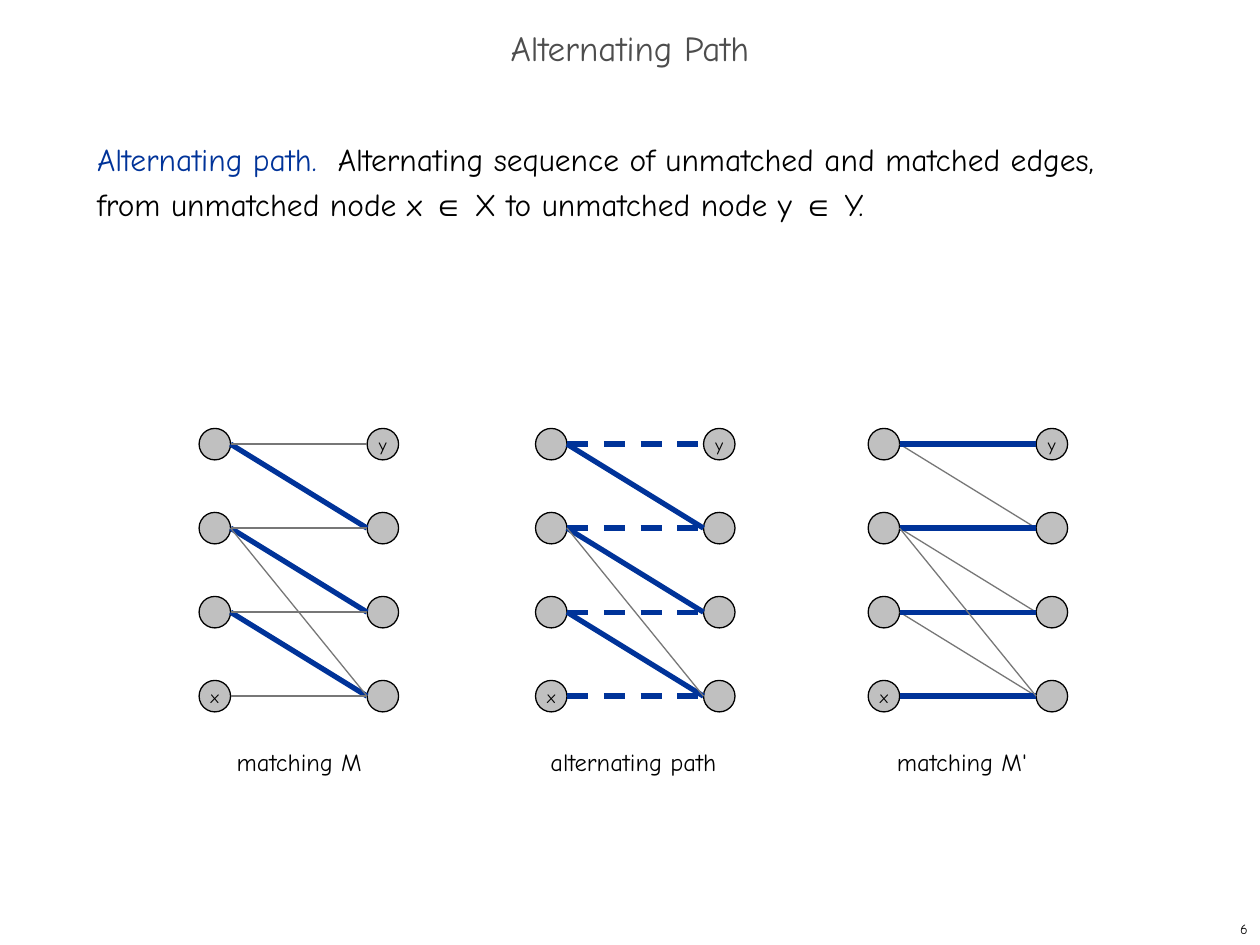
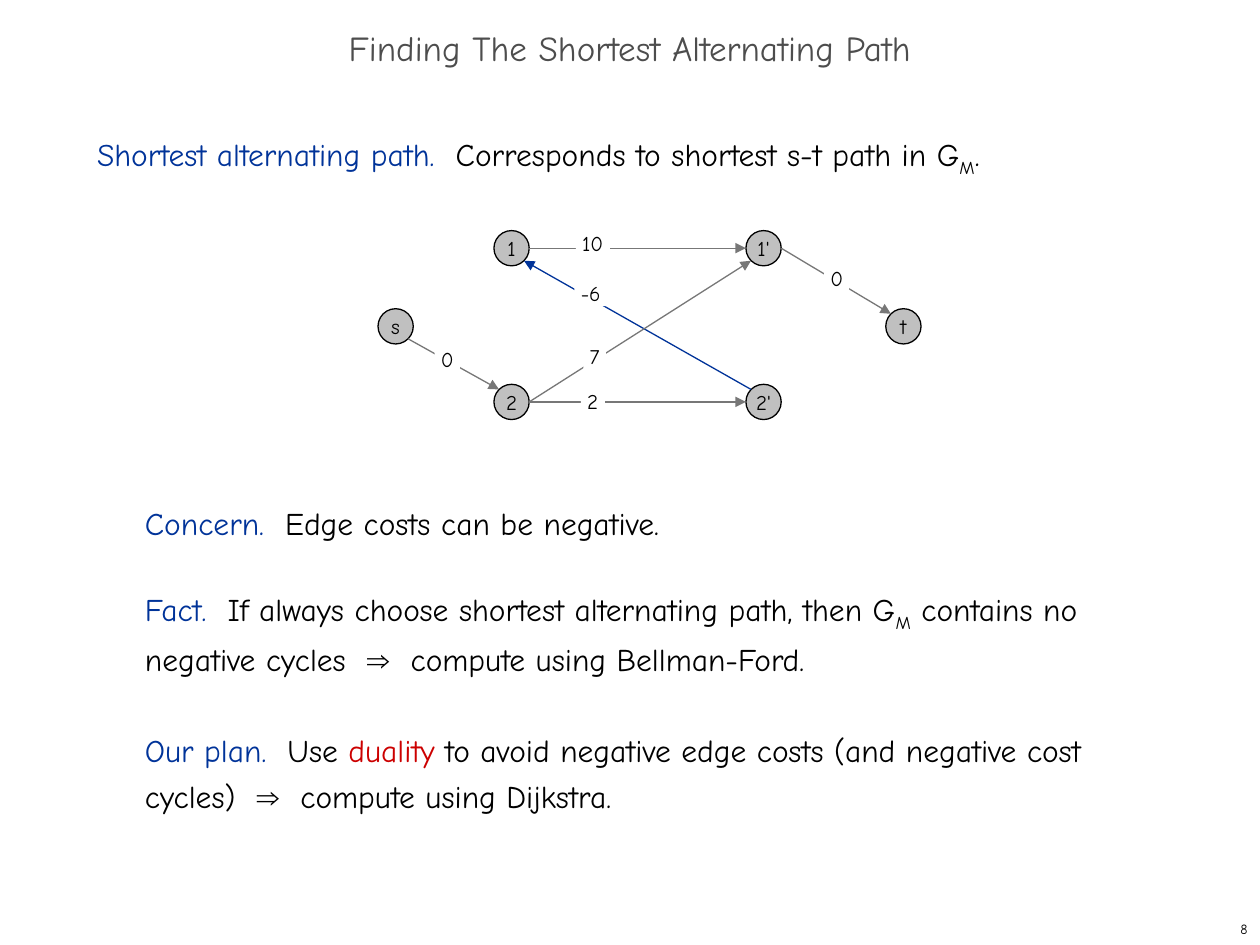
"""Build two slides on alternating paths in bipartite matching."""
import pptx
import pptx.dml.color
import pptx.enum.dml
import pptx.enum.shapes
import pptx.enum.text
import pptx.oxml
import pptx.oxml.ns
import pptx.util

Inches, Pt = pptx.util.Inches, pptx.util.Pt
RGBColor = pptx.dml.color.RGBColor
ALIGN = pptx.enum.text.PP_ALIGN
ANCHOR = pptx.enum.text.MSO_ANCHOR
AUTO_SIZE = pptx.enum.text.MSO_AUTO_SIZE
SHAPE = pptx.enum.shapes.MSO_SHAPE

BLACK = RGBColor(0x00, 0x00, 0x00)
WHITE = RGBColor(0xFF, 0xFF, 0xFF)
BLUE = RGBColor(0x00, 0x33, 0x99)
RED = RGBColor(0xCC, 0x00, 0x00)
TITLE_GRAY = RGBColor(0x4D, 0x4D, 0x4D)
EDGE_GRAY = RGBColor(0x77, 0x77, 0x77)
NODE_GRAY = RGBColor(0xC0, 0xC0, 0xC0)
TEXT_FONT, SYMBOL_FONT = "Comic Neue", "Arial"
LINE_PITCH = 26

TERM = {"color": BLUE}
ALERT = {"color": RED}
SYMBOL = {"font": SYMBOL_FONT}
SUBSCRIPT = {"baseline": -25000}
PLAIN = {}

# Each paragraph: indent in inches, blank lines before, runs
PATH_TEXT = [
    (0, 0, [("Alternating path.  ", TERM),
            ("Alternating sequence of unmatched and matched edges, from unmatched node x ", PLAIN),
            ("∈", SYMBOL), (" X to unmatched node y ", PLAIN),
            ("∈", SYMBOL), (" Y.", PLAIN)]),
]
SHORTEST_TEXT = [
    (0, 0, [("Shortest alternating path.  ", TERM),
            ("Corresponds to shortest s-t path in G", PLAIN),
            ("M", SUBSCRIPT), (".", PLAIN)]),
    (0.38, 7, [("Concern.  ", TERM), ("Edge costs can be negative.", PLAIN)]),
    (0.38, 1, [("Fact.  ", TERM),
               ("If always choose shortest alternating path, then G", PLAIN),
               ("M", SUBSCRIPT), (" contains no negative cycles  ", PLAIN),
               ("⇒", SYMBOL), ("  compute using Bellman-Ford.", PLAIN)]),
    (0.38, 1, [("Our plan.  ", TERM), ("Use ", PLAIN), ("duality", ALERT),
               (" to avoid negative edge costs (and negative cost cycles)  ", PLAIN),
               ("⇒", SYMBOL), ("  compute using Dijkstra.", PLAIN)]),
]

THIN = (EDGE_GRAY, 0.75, False)
THICK = (BLUE, 3, False)
DASHED = (BLUE, 3, True)
SLANTED_EDGES = [(0, 1), (1, 2), (2, 3)]
LEVEL_EDGES = [(0, 0), (3, 3), (2, 2), (1, 1)]
CROSS_EDGE = (1, 3)
# Caption, graph left, caption left, caption width, slanted style, level style
MATCHINGS = [
    ("matching M", 1.58, 1.78, 1.2, THICK, THIN),
    ("alternating path", 4.25, 4.27, 1.53, THICK, DASHED),
    ("matching M'", 6.89, 7.02, 1.24, THIN, THICK),
]
LEFT_LABELS = ["", "", "", "x"]
RIGHT_LABELS = ["y", "", "", ""]
MATCHING_TOP, ROW_PITCH, COLUMN_PITCH, MATCHING_NODE = 3.4, 2 / 3, 4 / 3, 0.25

COST_NODE = 0.28
COST_NODES = {
    "1": (3.92, 1.83), "2": (3.92, 3.05), "1'": (5.92, 1.83),
    "2'": (5.92, 3.05), "s": (3, 2.45), "t": (7.03, 2.45),
}
RIGHT, LEFT = (1, 0), (-1, 0)
UPPER_LEFT, LOWER_LEFT, LOWER_RIGHT = (-0.71, -0.71), (-0.71, 0.71), (0.71, 0.71)
# Start, side, end, side, colour, cost, cost left, cost top, cost width
COST_EDGES = [
    ("2'", UPPER_LEFT, "1", LOWER_RIGHT, BLUE, "-6", 4.56, 2.23, 0.26),
    ("1", RIGHT, "1'", LEFT, EDGE_GRAY, "10", 4.57, 1.83, 0.27),
    ("2", RIGHT, "2'", LEFT, EDGE_GRAY, "2", 4.61, 3.08, 0.19),
    ("2", RIGHT, "1'", LOWER_LEFT, EDGE_GRAY, "7", 4.63, 2.73, 0.18),
    ("s", LOWER_RIGHT, "2", UPPER_LEFT, EDGE_GRAY, "0", 3.45, 2.75, 0.2),
    ("1'", RIGHT, "t", UPPER_LEFT, EDGE_GRAY, "0", 6.54, 2.11, 0.2),
]


def place(shape, left, top, width, height):
    shape.left, shape.top = Inches(left), Inches(top)
    shape.width, shape.height = Inches(width), Inches(height)


def style_paragraph(paragraph, size, color=BLACK, align=ALIGN.LEFT):
    paragraph.alignment = align
    paragraph.font.name = TEXT_FONT
    paragraph.font.size = Pt(size)
    paragraph.font.color.rgb = color


def add_label(slide, text, box, size, align=ALIGN.LEFT, anchor=ANCHOR.TOP, wrap=False):
    label = slide.shapes.add_textbox(*map(Inches, box))
    frame = label.text_frame
    frame.word_wrap = wrap
    frame.vertical_anchor = anchor
    frame.text = text
    style_paragraph(frame.paragraphs[0], size, align=align)
    return label


def fill_body(body, paragraphs):
    frame = body.text_frame
    frame.auto_size = AUTO_SIZE.NONE
    for index, (indent, blank_lines, runs) in enumerate(paragraphs):
        paragraph = frame.add_paragraph() if index else frame.paragraphs[0]
        style_paragraph(paragraph, 18)
        paragraph.line_spacing = Pt(LINE_PITCH)
        paragraph.space_before = Pt(LINE_PITCH * blank_lines)
        properties = paragraph._p.get_or_add_pPr()
        properties.set("marL", str(Inches(indent)))
        properties.set("indent", "0")
        bullet = pptx.oxml.parse_xml(f"<a:buNone {pptx.oxml.ns.nsdecls('a')}/>")
        properties.find(pptx.oxml.ns.qn("a:defRPr")).addprevious(bullet)
        for text, style in runs:
            run = paragraph.add_run()
            run.text = text
            if "color" in style:
                run.font.color.rgb = style["color"]
            if "font" in style:
                run.font.name = style["font"]
            if "baseline" in style:
                run._r.get_or_add_rPr().set("baseline", str(style["baseline"]))


def start_slide(deck, title, paragraphs, number):
    slide = deck.slides.add_slide(deck.slide_layouts[1])
    heading, body = slide.placeholders
    place(heading, 0, 0.17, 10, 0.5)
    heading.text_frame.text = title
    heading.text_frame.auto_size = AUTO_SIZE.NONE
    heading.text_frame.vertical_anchor = ANCHOR.MIDDLE
    style_paragraph(heading.text_frame.paragraphs[0], 20, TITLE_GRAY, ALIGN.CENTER)
    heading.text_frame.paragraphs[0].line_spacing = 0.7
    place(body, 0.67, 1, 8.58, 5.92)
    fill_body(body, paragraphs)
    add_label(slide, str(number), (7.92, 7.25, 2.08, 0.25), 8,
              ALIGN.RIGHT, ANCHOR.MIDDLE, wrap=True)
    return slide


def add_node(slide, text, left, top, diameter, size):
    node = slide.shapes.add_shape(
        SHAPE.OVAL, *map(Inches, (left, top, diameter, diameter)))
    node.shadow.inherit = False
    node.fill.solid()
    node.fill.fore_color.rgb = NODE_GRAY
    node.line.color.rgb = BLACK
    node.line.width = Pt(0.75)
    if text:
        node.text_frame.text = text
        node.text_frame.word_wrap = False
        node.text_frame.vertical_anchor = ANCHOR.MIDDLE
        style_paragraph(node.text_frame.paragraphs[0], size, align=ALIGN.CENTER)


def add_edge(slide, start, end, style, arrow=False):
    color, width, dashed = style
    edge = slide.shapes.add_connector(
        pptx.enum.shapes.MSO_CONNECTOR.STRAIGHT, *map(Inches, (*start, *end)))
    edge.line.color.rgb = color
    edge.line.width = Pt(width)
    if dashed:
        edge.line.dash_style = pptx.enum.dml.MSO_LINE.DASH
    namespace = pptx.oxml.ns.nsdecls("a")
    properties = edge._element.spPr
    if arrow:
        properties.find(pptx.oxml.ns.qn("a:ln")).append(
            pptx.oxml.parse_xml(f'<a:tailEnd {namespace} type="triangle"/>'))
    properties.append(pptx.oxml.parse_xml(f"<a:effectLst {namespace}/>"))


def add_matching(slide, caption, left, caption_left, caption_width, slanted, level):
    rows = [MATCHING_TOP + ROW_PITCH * row for row in range(len(LEFT_LABELS))]
    for column, labels in enumerate((LEFT_LABELS, RIGHT_LABELS)):
        for top, label in zip(rows, labels):
            add_node(slide, label, left + COLUMN_PITCH * column, top, MATCHING_NODE, 10)
    edges = ([(edge, slanted) for edge in SLANTED_EDGES]
             + [(edge, level) for edge in LEVEL_EDGES] + [(CROSS_EDGE, THIN)])
    for (start, end), style in edges:
        add_edge(slide,
                 (left + MATCHING_NODE, rows[start] + MATCHING_NODE / 2),
                 (left + COLUMN_PITCH, rows[end] + MATCHING_NODE / 2), style)
    add_label(slide, caption, (caption_left, 5.88, caption_width, 0.33), 14)


def node_side(name, side):
    radius = COST_NODE / 2
    return tuple(corner + radius * (1 + shift)
                 for corner, shift in zip(COST_NODES[name], side))


def add_cost_graph(slide):
    for name, (left, top) in COST_NODES.items():
        add_node(slide, name, left, top, COST_NODE, 12)
    for start, start_side, end, end_side, color, *_ in COST_EDGES:
        add_edge(slide, node_side(start, start_side), node_side(end, end_side),
                 (color, 0.75, False), arrow=True)
    for *_, cost, left, top, width in COST_EDGES:
        label = add_label(slide, cost, (left, top, width, 0.2), 12)
        label.fill.solid()
        label.fill.fore_color.rgb = WHITE
        frame = label.text_frame
        frame.margin_left = frame.margin_right = Inches(0.05)
        frame.margin_top = frame.margin_bottom = 0


def main():
    deck = pptx.Presentation()
    deck.slide_width, deck.slide_height = Inches(10), Inches(7.5)
    path_slide = start_slide(deck, "Alternating Path", PATH_TEXT, 6)
    for matching in MATCHINGS:
        add_matching(path_slide, *matching)
    shortest_slide = start_slide(
        deck, "Finding The Shortest Alternating Path", SHORTEST_TEXT, 8)
    add_cost_graph(shortest_slide)
    deck.save("out.pptx")


if __name__ == "__main__":
    main()
